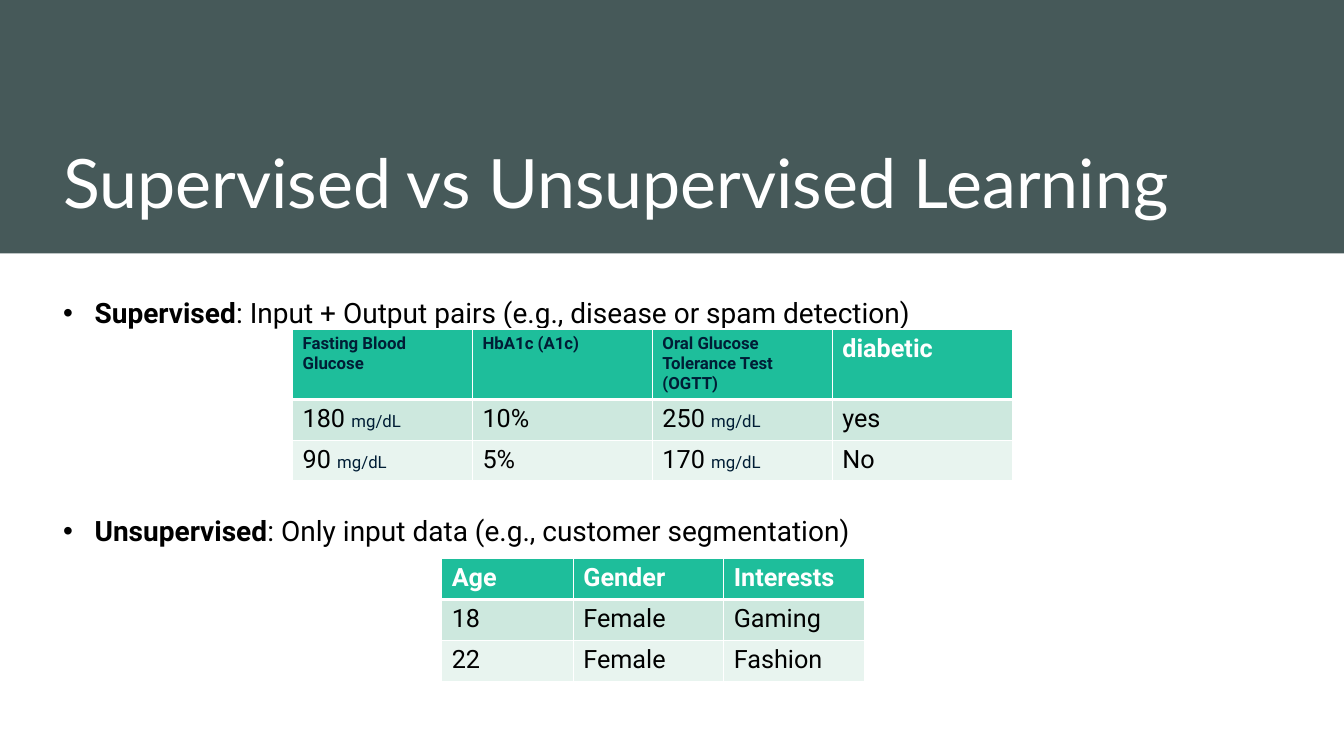
from lxml.etree import SubElement
from pptx import Presentation
from pptx.dml.color import RGBColor
from pptx.enum.shapes import MSO_SHAPE as Shape
from pptx.enum.text import MSO_ANCHOR as Anchor, MSO_AUTO_SIZE as AutoSize, PP_ALIGN as Align
from pptx.oxml.ns import qn
from pptx.util import Pt

COLORS = {
    "band": "465959", "white": "FFFFFF", "black": "000000", "navy": "001D35",
    "header": "1EBE9B", "odd_row": "CDE8DE", "even_row": "E8F4EF",
}
SLIDE_WIDTH, SLIDE_HEIGHT = 960, 540
MARGIN, CONTENT_WIDTH = 38, 856
UNIT = "mg/dL"


def rgb(name):
    return RGBColor.from_string(COLORS[name])


def add_text(paragraph, text, size=18, color="black", bold=False, font="Roboto"):
    run = paragraph.add_run()
    run.text = text
    run.font.size = Pt(size)
    run.font.name = font
    run.font.bold = bold
    run.font.color.rgb = rgb(color)


def add_title_band(slide, text, left, top, width, height):
    band = slide.shapes.add_shape(Shape.RECTANGLE, Pt(left), Pt(top), Pt(width), Pt(height))
    band.shadow.inherit = False
    band.fill.solid()
    band.fill.fore_color.rgb = rgb("band")
    band.line.fill.background()

    title = slide.shapes.title
    title.element.addprevious(band.element)  # band goes behind the title
    title.left, title.top = Pt(left + MARGIN), Pt(top + 29)
    title.width, title.height = Pt(CONTENT_WIDTH), Pt(height - 48)
    frame = title.text_frame
    frame.auto_size = AutoSize.NONE
    frame.word_wrap = True
    frame.vertical_anchor = Anchor.BOTTOM
    frame.paragraphs[0].alignment = Align.LEFT
    add_text(frame.paragraphs[0], text, size=48.6, color="white", font="Lato")


def add_bullets(slide, bullets, left, top, width, height, gap):
    frame = slide.shapes.add_textbox(Pt(left), Pt(top), Pt(width), Pt(height)).text_frame
    frame.word_wrap = True
    for index, (term, meaning) in enumerate(bullets):
        bullet = frame.add_paragraph() if index else frame.paragraphs[0]
        bullet.line_spacing = 1.2
        bullet.space_before = Pt(gap if index else 0)
        properties = bullet._p.get_or_add_pPr()
        properties.set("marL", str(Pt(22.5)))
        properties.set("indent", str(-Pt(22.5)))
        SubElement(properties, qn("a:buFont"), typeface="Arial")
        SubElement(properties, qn("a:buChar"), char="•")
        add_text(bullet, term, size=20, bold=True)
        add_text(bullet, meaning, size=20)


def set_borders(cell, bottom):
    properties = cell._tc.get_or_add_tcPr()
    widths = {"a:lnL": 1, "a:lnR": 1, "a:lnT": 1, "a:lnB": bottom}
    for position, (side, width) in enumerate(widths.items()):
        line = SubElement(properties, qn(side), w=str(Pt(width)))
        fill = SubElement(line, qn("a:solidFill"))
        SubElement(fill, qn("a:srgbClr"), val=COLORS["white"])
        properties.insert(position, line)  # borders precede the cell fill


def add_data_table(slide, rows, left, top, column_widths, row_heights, small_headers=()):
    table = slide.shapes.add_table(
        len(rows), len(column_widths), Pt(left), Pt(top),
        Pt(sum(column_widths)), Pt(sum(row_heights))).table
    for column, width in zip(table.columns, column_widths):
        column.width = Pt(width)
    for row, height in zip(table.rows, row_heights):
        row.height = Pt(height)

    row_fills = ("header", "odd_row", "even_row")
    for row_index, values in enumerate(rows):
        is_header = row_index == 0
        for column_index, value in enumerate(values):
            cell = table.cell(row_index, column_index)
            cell.fill.solid()
            cell.fill.fore_color.rgb = rgb(row_fills[row_index])
            set_borders(cell, bottom=3 if is_header else 1)
            paragraph = cell.text_frame.paragraphs[0]
            if value in small_headers:
                add_text(paragraph, value, size=12, color="navy", bold=True)
            elif is_header:
                add_text(paragraph, value, color="white", bold=True)
            elif value.endswith(UNIT):
                add_text(paragraph, value.removesuffix(UNIT))
                add_text(paragraph, UNIT, size=12, color="navy")
            else:
                add_text(paragraph, value)


def add_learning_slide(deck):
    slide = deck.slides.add_slide(deck.slide_layouts[5])
    add_title_band(slide, "Supervised vs Unsupervised Learning", 0, 0, SLIDE_WIDTH, 181)
    add_bullets(slide, [
        ("Supervised", ": Input + Output pairs (e.g., disease or spam detection)"),
        ("Unsupervised", ": Only input data (e.g., customer segmentation)"),
    ], MARGIN, 203, CONTENT_WIDTH, 284, gap=127)

    # Labelled data: test results with a known diagnosis
    tests = ("Fasting Blood Glucose", "HbA1c (A1c)", "Oral Glucose Tolerance Test (OGTT)")
    add_data_table(slide, [
        (*tests, "diabetic"),
        ("180 mg/dL", "10%", "250 mg/dL", "yes"),
        ("90 mg/dL", "5%", "170 mg/dL", "No"),
    ], 209, 235, [128.5] * 4, [49, 29, 28], small_headers=tests)

    # Unlabelled data: customer attributes only
    add_data_table(slide, [
        ("Age", "Gender", "Interests"),
        ("18", "Female", "Gaming"),
        ("22", "Female", "Fashion"),
    ], 315.5, 399, [94, 107.5, 100.5], [29.2] * 3)


def main():
    deck = Presentation()
    deck.slide_width, deck.slide_height = Pt(SLIDE_WIDTH), Pt(SLIDE_HEIGHT)
    add_learning_slide(deck)
    deck.save("out.pptx")


if __name__ == "__main__":
    main()
